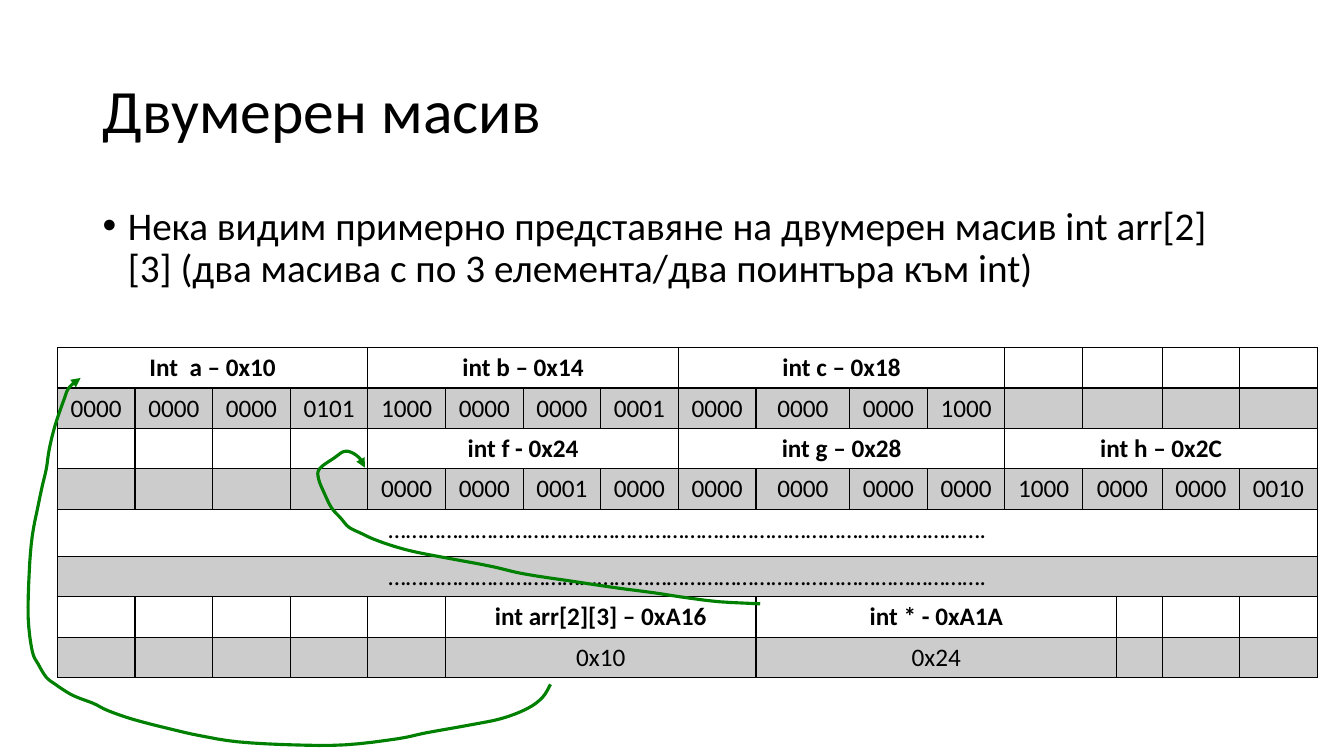
from dataclasses import dataclass

from pptx import Presentation
from pptx.dml.color import RGBColor
from pptx.enum.text import MSO_ANCHOR, PP_ALIGN
from pptx.oxml import parse_xml
from pptx.oxml.ns import nsdecls
from pptx.util import Inches, Pt

FONT = "Calibri"
BLACK, WHITE, GREY, GREEN = "000000", "FFFFFF", "CCCCCC", "008000"
DOTS = "…" * 92 + "."
DOTS = "………………………………………………………………………………………….".strip()


@dataclass
class Row:
    texts: list[str]
    spans: tuple[int, ...]
    bold: bool = False
    height: float = 0.4


@dataclass
class Arrow:
    """Knots of a smooth curve that ends in an arrowhead."""
    knots: list[tuple[float, float]]


WIDTHS = [0.77] * 9 + [0.93] + [0.77] * 3 + [0.34, 0.45] + [0.77] * 2
BITS = (1,) * 13 + (2, 1, 1)
REFS = (1,) * 5 + (4, 5, 1, 1, 1)
GAP = [""]

ROWS = [
    Row(["Int  a – 0x10", "int b – 0x14", "int c – 0x18"] + GAP * 4,
        (4, 4, 4, 1, 2, 1, 1), bold=True),
    Row("0000 0000 0000 0101 1000 0000 0000 0001 0000 0000 0000 1000".split()
        + GAP * 4, BITS),
    Row(GAP * 4 + ["int f - 0x24", "int g – 0x28", "int h – 0x2C"],
        (1, 1, 1, 1, 4, 4, 5), bold=True),
    Row(GAP * 4
        + "0000 0000 0001 0000 0000 0000 0000 0000 1000 0000 0000 0010".split(),
        BITS),
    Row([DOTS], (17,), height=0.47),
    Row([DOTS], (17,)),
    Row(GAP * 5 + ["int аrr[2][3] – 0xA16", "int * - 0xA1A"] + GAP * 3,
        REFS, bold=True),
    Row(GAP * 5 + ["0x10", "0x24"] + GAP * 3, REFS),
]

ARROWS = [
    Arrow([(5.46, 6.79), (5.38, 6.92), (5.23, 7.03), (4.97, 7.13),
           (4.62, 7.2), (4.23, 7.27), (3.94, 7.33), (3.42, 7.39),
           (2.9, 7.39), (2.36, 7.36), (1.99, 7.3), (1.72, 7.24),
           (1.33, 7.14), (1.07, 7.05), (0.93, 6.98), (0.77, 6.92),
           (0.67, 6.87), (0.55, 6.79), (0.46, 6.72), (0.38, 6.59),
           (0.32, 6.46), (0.28, 6.13), (0.29, 5.68), (0.32, 5.32),
           (0.38, 5.01), (0.42, 4.82), (0.46, 4.65), (0.49, 4.45),
           (0.55, 4.21), (0.64, 3.95), (0.67, 3.87), (0.72, 3.81),
           (0.8, 3.75)]),
    Arrow([(7.54, 5.99), (7.14, 5.97), (6.81, 5.93), (6.48, 5.88),
           (6.1, 5.83), (5.7, 5.77), (5.36, 5.72), (5.13, 5.68),
           (4.88, 5.62), (4.51, 5.55), (4.14, 5.48), (3.91, 5.42),
           (3.71, 5.35), (3.58, 5.29), (3.46, 5.23), (3.38, 5.14),
           (3.29, 5.04), (3.22, 4.9), (3.16, 4.75), (3.17, 4.65),
           (3.32, 4.54), (3.41, 4.48), (3.49, 4.49), (3.57, 4.55),
           (3.62, 4.64)]),
]


def color(code: str) -> RGBColor:
    return RGBColor.from_string(code)


def style(par, size: float, bold: bool = False) -> None:
    for run in par.runs:
        run.font.name = FONT
        run.font.size = Pt(size)
        run.font.bold = bold
        run.font.color.rgb = color(BLACK)


def place(shape, left: float, top: float, width: float, height: float) -> None:
    shape.left, shape.top = Inches(left), Inches(top)
    shape.width, shape.height = Inches(width), Inches(height)


def add_title(slide, text: str) -> None:
    title = slide.shapes.title
    place(title, 0.92, 0.4, 11.5, 1.45)
    frame = title.text_frame
    frame.text = text
    frame.vertical_anchor = MSO_ANCHOR.MIDDLE
    par = frame.paragraphs[0]
    par.alignment = PP_ALIGN.LEFT
    par.line_spacing = 0.9
    style(par, 44)


def add_bullet(slide, text: str) -> None:
    box = slide.shapes.add_textbox(
        Inches(0.92), Inches(2), Inches(11.5), Inches(4.76))
    frame = box.text_frame
    frame.word_wrap = True
    frame.text = text
    par = frame.paragraphs[0]
    par.line_spacing = 0.9
    par.space_before = Pt(10)
    style(par, 28)
    props = par._p.get_or_add_pPr()
    props.set("marL", str(Inches(0.25)))
    props.set("indent", str(-Inches(0.25)))
    props.append(parse_xml(f'<a:buFont {nsdecls("a")} typeface="Arial"/>'))
    props.append(parse_xml(f'<a:buChar {nsdecls("a")} char="•"/>'))


def paint(cell, fill: str, base: float) -> None:
    """Fill a cell and draw its borders, the bottom one base points wide."""
    props = cell._tc.get_or_add_tcPr()
    for side, width in zip("LRTB", (1, 1, 1, base)):
        props.append(parse_xml(
            f'<a:ln{side} {nsdecls("a")} w="{Pt(width)}"><a:solidFill>'
            f'<a:srgbClr val="{BLACK}"/></a:solidFill></a:ln{side}>'))
    cell.fill.solid()
    cell.fill.fore_color.rgb = color(fill)


def add_grid(slide, rows: list[Row]) -> None:
    high = sum(row.height for row in rows)
    grid = slide.shapes.add_table(
        len(rows), len(WIDTHS), Inches(0.57), Inches(3.45),
        Inches(sum(WIDTHS)), Inches(high)).table
    grid.first_row = grid.horz_banding = False
    for col, width in zip(grid.columns, WIDTHS):
        col.width = Inches(width)
    for num, row in enumerate(rows):
        grid.rows[num].height = Inches(row.height)
        for cell in grid.rows[num].cells:
            paint(cell, GREY if num % 2 else WHITE, 1 if num else 2)
        start = 0
        for text, span in zip(row.texts, row.spans):
            cell = grid.cell(num, start)
            if span > 1:
                cell.merge(grid.cell(num, start + span - 1))
            cell.text_frame.text = text
            par = cell.text_frame.paragraphs[0]
            par.alignment = PP_ALIGN.CENTER
            style(par, 18, row.bold)
            start += span


def smooth(knots: list[tuple[float, float]], steps: int = 4) -> list:
    """Points of a Catmull-Rom curve through the knots."""
    ends = [knots[0], *knots, knots[-1]]
    points = [knots[0]]
    for a, b, c, d in zip(ends, ends[1:], ends[2:], ends[3:]):
        for step in range(1, steps + 1):
            t = step / steps
            points.append(tuple(
                q + t / 2 * (r - p + t * (2 * p - 5 * q + 4 * r - s
                                          + t * (3 * (q - r) + s - p)))
                for p, q, r, s in zip(a, b, c, d)))
    return points


def add_arrow(slide, arrow: Arrow) -> None:
    first, *rest = [(Inches(x), Inches(y)) for x, y in smooth(arrow.knots)]
    form = slide.shapes.build_freeform(*first)
    form.add_line_segments(rest, close=False)
    curve = form.convert_to_shape()
    curve.shadow.inherit = False
    curve.fill.background()
    curve.line.color.rgb = color(GREEN)
    curve.line.width = Pt(2.25)
    curve.line._get_or_add_ln().append(
        parse_xml(f'<a:tailEnd {nsdecls("a")} type="triangle"/>'))


def main() -> None:
    deck = Presentation()
    deck.slide_width, deck.slide_height = Inches(13.33), Inches(7.5)
    slide = deck.slides.add_slide(deck.slide_layouts[5])
    add_title(slide, "Двумерен масив")
    add_bullet(slide, "Нека видим примерно представяне на двумерен масив "
                      "int arr[2][3] (два масива с по 3 елемента/два "
                      "поинтъра към int)")
    add_grid(slide, ROWS)
    for arrow in ARROWS:
        add_arrow(slide, arrow)
    deck.save("out.pptx")


if __name__ == "__main__":
    main()
